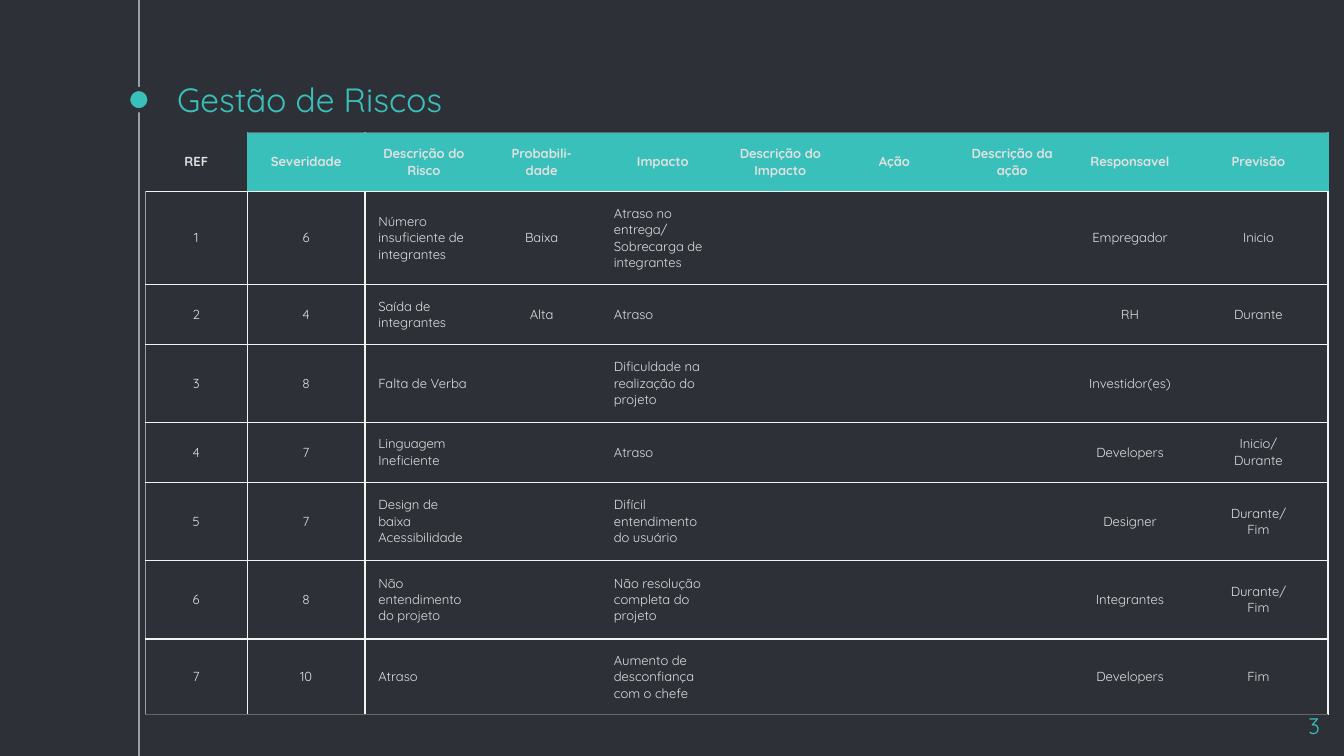
from lxml.etree import SubElement
from pptx import Presentation
from pptx.dml.color import RGBColor
from pptx.enum.shapes import MSO_CONNECTOR, MSO_SHAPE
from pptx.enum.text import MSO_ANCHOR, PP_ALIGN
from pptx.oxml.ns import qn
from pptx.util import Pt

TITLE = "Gestão de Riscos"
PAGE_NUMBER = "3"
HEADERS = ["REF", "Severidade", "Descrição do Risco", "Probabili-dade", "Impacto",
           "Descrição do Impacto", "Ação", "Descrição da ação", "Responsavel", "Previsão"]
RISKS = [
    ("6", "Número insuficiente de integrantes", "Baixa",
     "Atraso no entrega/\nSobrecarga de integrantes", "Empregador", "Inicio"),
    ("4", "Saída de integrantes", "Alta", "Atraso", "RH", "Durante"),
    ("8", "Falta de Verba", "", "Dificuldade na realização do projeto", "Investidor(es)", ""),
    ("7", "Linguagem Ineficiente", "", "Atraso", "Developers", "Inicio/\nDurante"),
    ("7", "Design de baixa Acessibilidade", "", "Difícil entendimento do usuário",
     "Designer", "Durante/\nFim"),
    ("8", "Não entendimento do projeto", "", "Não resolução completa do projeto",
     "Integrantes", "Durante/\nFim"),
    ("10", "Atraso", "", "Aumento de desconfiança com o chefe", "Developers", "Fim"),
]
COLORS = {"background": "2E3037", "accent": "39C0BA", "rail": "999FA9",
          "text": "E0E0E0", "rule": "F3F3F3", "edge": "666666"}
FONT = "Quicksand"
SLIDE_WIDTH, SLIDE_HEIGHT = 720, 405
RAIL_X, DOT_Y, DOT_SIZE = 74.4, 53.4, 11.4
TABLE_LEFT, TABLE_TOP = 77.8, 70.8
COLUMN_WIDTHS = [54.6, 63.1, 63.1, 63.1, 66.7, 59.2, 63.1, 63.1, 63.1, 74.5]
ROW_HEIGHTS = [31.9, 49.8, 31.9, 42, 32, 42, 42, 40.7]
LEFT_ALIGNED = {"Descrição do Risco", "Impacto"}
MARGIN = 7.2
PLAIN_TABLE_STYLE = "{2D5ABB26-0587-4C30-8999-92F81FD0307C}"


def color(name):
    return RGBColor.from_string(COLORS[name])


def set_attributes(target, values):
    for name, value in values.items():
        setattr(target, name, value)


def set_margins(target):
    set_attributes(target, {f"margin_{side}": Pt(MARGIN)
                            for side in ("left", "top", "right", "bottom")})


def format_paragraph(paragraph, size, color_name, alignment, bold=False):
    paragraph.alignment = alignment
    for run in paragraph.runs:
        set_attributes(run.font, {"name": FONT, "size": Pt(size), "bold": bold})
        run.font.color.rgb = color(color_name)
    if not paragraph.runs:
        SubElement(paragraph._p, qn("a:endParaRPr"), sz=str(size * 100))


def add_label(slide, text, box, size, alignment, anchor):
    frame = slide.shapes.add_textbox(*map(Pt, box)).text_frame
    set_margins(frame)
    set_attributes(frame, {"word_wrap": True, "vertical_anchor": anchor, "text": text})
    format_paragraph(frame.paragraphs[0], size, "accent", alignment)


def add_border(cell, side, color_name):
    properties = cell._tc.get_or_add_tcPr()
    line = SubElement(properties, qn(f"a:{side}"), w=str(Pt(0.75)))
    fill = SubElement(line, qn("a:solidFill"))
    SubElement(fill, qn("a:srgbClr"), val=COLORS[color_name])


def cell_borders(row, column):
    last_row, last_column = len(RISKS), len(HEADERS) - 1
    header = row == 0
    borders = {}
    if column == 0 and not header:
        borders["lnL"] = "rail"
    if column == 1:
        borders["lnL"] = "accent" if header else "rule"
    if column in (0, last_column):
        borders["lnR"] = "accent" if header else "rule"
    if not header:
        borders["lnT"] = "rule"
    elif column > 0:
        borders["lnT"] = "edge"
    borders["lnB"] = "edge" if row == last_row else "rule"
    return borders


def add_risk_table(slide):
    rows = [HEADERS]
    for number, (severity, risk, chance, impact, owner, forecast) in enumerate(RISKS, 1):
        rows.append([str(number), severity, risk, chance, impact, "", "", "", owner, forecast])
    frame = slide.shapes.add_table(len(rows), len(HEADERS), Pt(TABLE_LEFT), Pt(TABLE_TOP),
                                   Pt(sum(COLUMN_WIDTHS)), Pt(sum(ROW_HEIGHTS)))
    table = frame.table
    set_attributes(table, {"first_row": False, "horz_banding": False})
    table._tbl.tblPr.find(qn("a:tableStyleId")).text = PLAIN_TABLE_STYLE
    for column, width in zip(table.columns, COLUMN_WIDTHS):
        column.width = Pt(width)
    for row, height in zip(table.rows, ROW_HEIGHTS):
        row.height = Pt(height)
    for row, texts in enumerate(rows):
        header = row == 0
        for column, text in enumerate(texts):
            cell = table.cell(row, column)
            set_margins(cell)
            set_attributes(cell, {"vertical_anchor": MSO_ANCHOR.MIDDLE, "text": text})
            left = not header and HEADERS[column] in LEFT_ALIGNED
            for paragraph in cell.text_frame.paragraphs:
                format_paragraph(paragraph, 7, "text",
                                 PP_ALIGN.LEFT if left else PP_ALIGN.CENTER, header)
            for side, color_name in cell_borders(row, column).items():
                add_border(cell, side, color_name)
            if header and column > 0:
                cell.fill.solid()
                cell.fill.fore_color.rgb = color("accent")
            else:
                cell.fill.background()


def add_timeline(slide):
    rail = slide.shapes.add_connector(MSO_CONNECTOR.STRAIGHT, Pt(RAIL_X), Pt(0),
                                      Pt(RAIL_X), Pt(SLIDE_HEIGHT))
    rail.line.color.rgb = color("rail")
    rail.line.width = Pt(0.75)
    SubElement(rail._element.spPr, qn("a:effectLst"))
    dot = slide.shapes.add_shape(MSO_SHAPE.OVAL, Pt(RAIL_X - DOT_SIZE / 2),
                                 Pt(DOT_Y - DOT_SIZE / 2), Pt(DOT_SIZE), Pt(DOT_SIZE))
    dot.shadow.inherit = False
    dot.fill.solid()
    dot.fill.fore_color.rgb = color("accent")
    dot.line.color.rgb = color("background")
    dot.line.width = Pt(2.25)


def main():
    presentation = Presentation()
    set_attributes(presentation, {"slide_width": Pt(SLIDE_WIDTH),
                                  "slide_height": Pt(SLIDE_HEIGHT)})
    slide = presentation.slides.add_slide(presentation.slide_layouts[6])
    slide.background.fill.solid()
    slide.background.fill.fore_color.rgb = color("background")
    add_timeline(slide)
    add_label(slide, TITLE, (87.8, 43.9, 540, 27.4), 18, PP_ALIGN.LEFT, MSO_ANCHOR.BOTTOM)
    add_label(slide, PAGE_NUMBER, (671, 374.4, 43.2, 24.5), 12, PP_ALIGN.RIGHT, MSO_ANCHOR.TOP)
    add_risk_table(slide)
    presentation.save("out.pptx")


if __name__ == "__main__":
    main()
